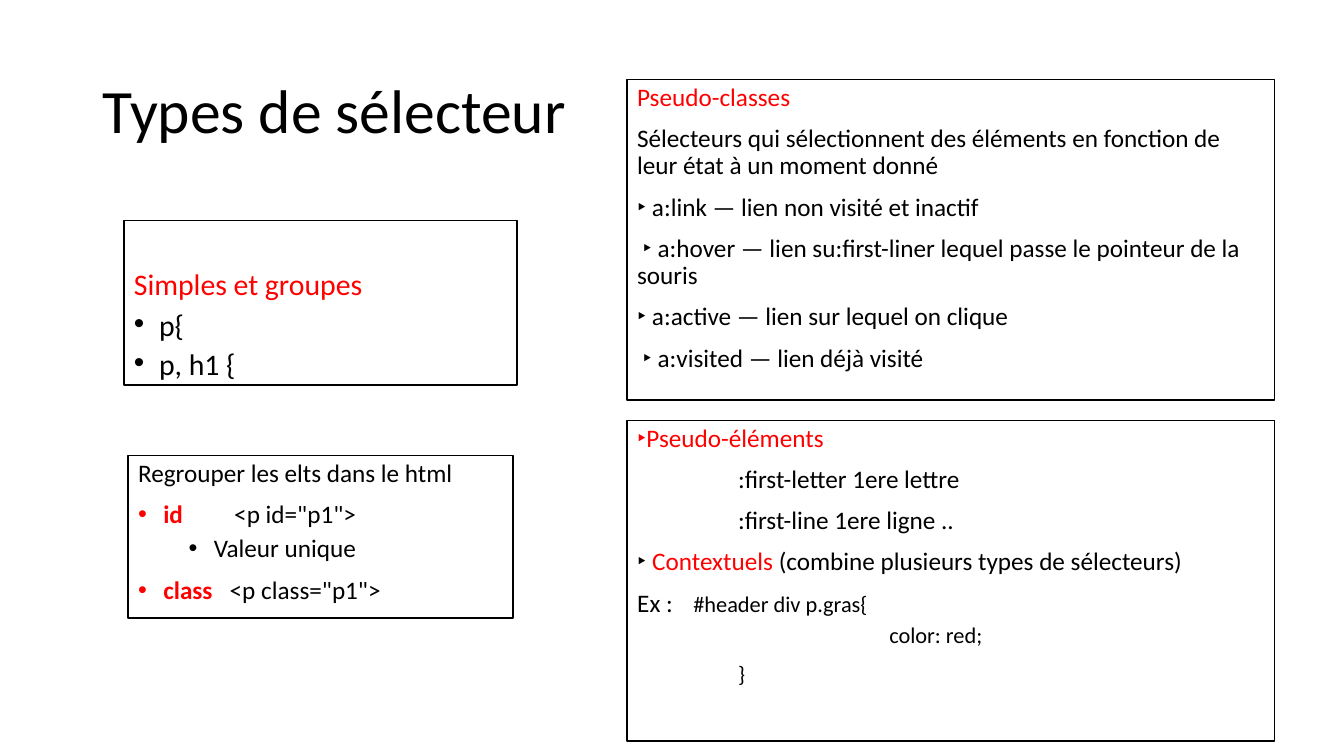
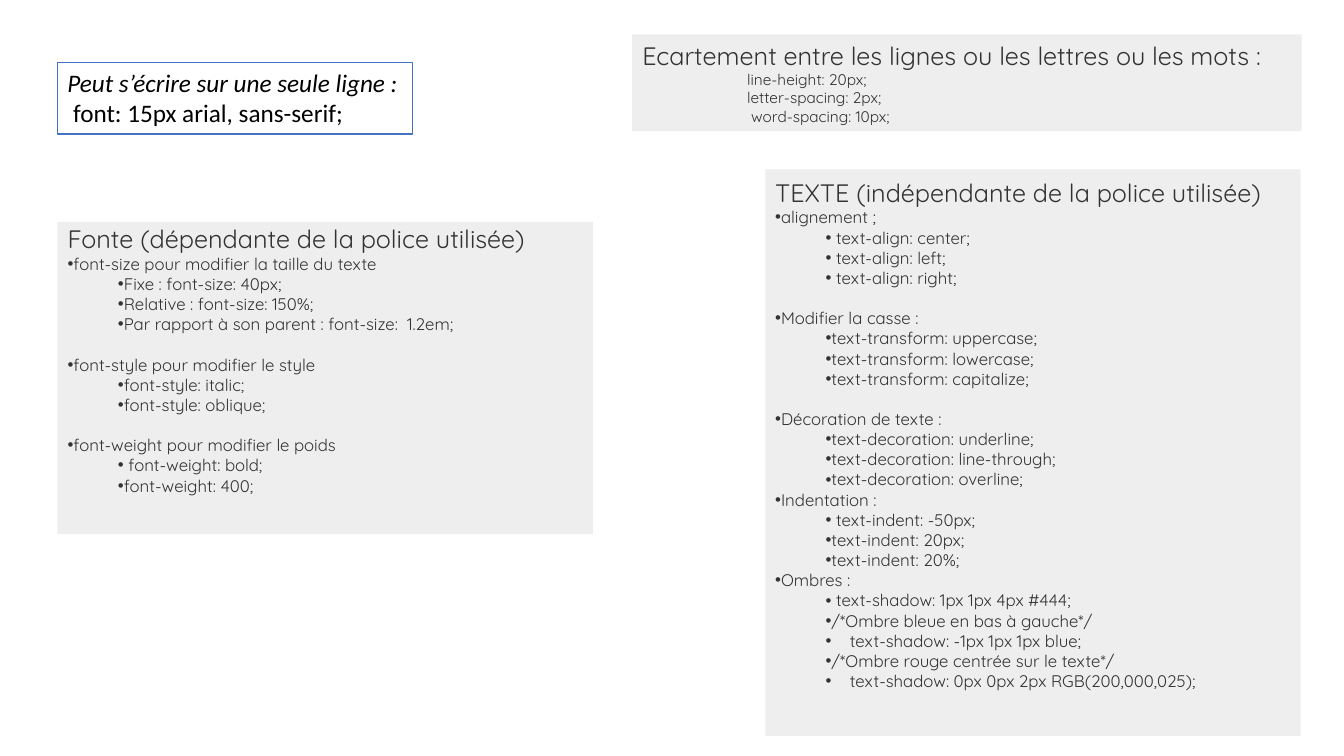
from lxml import etree
from pptx import Presentation
from pptx import util as u
from pptx.dml.color import RGBColor
from pptx.enum import shapes, text
from pptx.oxml.ns import qn

PX = 9144
COLORS = {"white": "FFFFFF", "black": "000000", "red": "FF0000",
          "panel": "EEEEEE", "ink": "333333", "blue": "4472C4"}


def style_box(shape, box, fill=None, line=None, anchor="TOP", top=5, bottom=5):
    shape.left, shape.top, shape.width, shape.height = [value * PX for value in box]
    shape.shadow.inherit = False
    if fill:
        shape.fill.solid()
        shape.fill.fore_color.rgb = RGBColor.from_string(COLORS[fill])
    if line:
        shape.line.color.rgb = RGBColor.from_string(COLORS[line])
        shape.line.width = u.Pt(1)
    else:
        shape.line.fill.background()
    frame = shape.text_frame
    frame.word_wrap = True
    frame.auto_size = text.MSO_AUTO_SIZE.NONE
    frame.vertical_anchor = getattr(text.MSO_ANCHOR, anchor)
    frame.margin_left = frame.margin_right = 10 * PX
    frame.margin_top, frame.margin_bottom = top * PX, bottom * PX


def write(shape, paragraphs, font="Calibri", size=18, color="black"):
    frame = shape.text_frame
    for number, (content, options) in enumerate(paragraphs):
        paragraph = frame.add_paragraph() if number else frame.paragraphs[0]
        pieces = [(content, {})] if isinstance(content, str) else content
        paragraph.text = pieces[0][0]
        for piece, _ in pieces[1:]:
            paragraph.add_run().text = piece
        for run, (_, extra) in zip(paragraph.runs, pieces):
            look = {**options, **extra}
            run.font.name = font
            run.font.size = u.Pt(look.get("size", size))
            run.font.bold = look.get("bold", False)
            run.font.italic = look.get("italic", False)
            run.font.color.rgb = RGBColor.from_string(COLORS[look.get("color", color)])
        paragraph.alignment = text.PP_ALIGN.LEFT
        paragraph.level = options.get("level", 0)
        paragraph.line_spacing = options.get("spacing", 1.0)
        paragraph.space_before = u.Pt(options.get("before", 0))
        properties = paragraph._p.get_or_add_pPr()
        properties.set("marL", str(options.get("margin", 0) * PX))
        properties.set("indent", str(options.get("indent", 0) * PX))
        if options.get("bullet"):
            etree.SubElement(properties, qn("a:buFont")).set("typeface", "Arial")
            etree.SubElement(properties, qn("a:buChar")).set("char", "•")
        else:
            etree.SubElement(properties, qn("a:buNone"))
        if "tab" in options:
            stops = etree.SubElement(properties, qn("a:tabLst"))
            stop = etree.SubElement(stops, qn("a:tab"))
            stop.set("pos", str(options["tab"] * PX))
            stop.set("algn", "l")


presentation = Presentation()
presentation.slide_width, presentation.slide_height = 1333 * PX, 750 * PX

PLAIN = {"spacing": 0.9, "before": 10}
RED = {**PLAIN, "color": "red"}
BULLET = {**PLAIN, "bullet": True, "margin": 25, "indent": -25}
TIGHT = {**BULLET, "spacing": 0.7}
TABBED = {**PLAIN, "margin": 100}
STRONG = {"color": "red", "bold": True}

slide = presentation.slides.add_slide(presentation.slide_layouts[3])
title, elements, grouping = slide.placeholders
style_box(title, (92, 40, 1150, 145), anchor="MIDDLE")
write(title, [("Types de sélecteur", {"spacing": 0.9})], size=44)

style_box(elements, (622, 417, 642, 318), "white", "black")
write(elements, [
    ("‣Pseudo-éléments", RED),
    (":first-letter 1ere lettre", TABBED),
    (":first-line 1ere ligne ..", TABBED),
    ([("‣ ", {}), ("Contextuels", {"color": "red"}),
      (" (combine plusieurs types de sélecteurs)", {})], PLAIN),
    ([("Ex :\t ", {}), ("#header div p.gras{", {"size": 16})], {**PLAIN, "tab": 100}),
    ("color: red;", {**PLAIN, "level": 1, "margin": 250, "before": 5, "size": 16}),
    ("}", {**TABBED, "size": 16}),
])

style_box(grouping, (127, 452, 382, 161), "white", "black")
write(grouping, [
    ("Regrouper les elts dans le html", PLAIN),
    ([("id", STRONG), ('         <p id="p1">', {})], BULLET),
    ("Valeur unique", {**BULLET, "level": 1, "margin": 75, "before": 5}),
    ([("class", STRONG), ('   <p class="p1">', {})], BULLET),
])

simple = slide.shapes.add_shape(shapes.MSO_SHAPE.RECTANGLE, 0, 0, PX, PX)
style_box(simple, (123, 219, 390, 163), "white", "black", top=49, bottom=0)
write(simple, [("Simples et groupes", RED), ("p{", TIGHT), ("p, h1 {", TIGHT)], size=21.3)

pseudo = slide.shapes.add_shape(shapes.MSO_SHAPE.RECTANGLE, 0, 0, PX, PX)
style_box(pseudo, (622, 79, 642, 318), "white", "black")
write(pseudo, [
    ("Pseudo-classes", RED),
    ("Sélecteurs qui sélectionnent des éléments en fonction de leur état à un moment donné", PLAIN),
    ("‣ a:link — lien non visité et inactif", PLAIN),
    (" ‣ a:hover — lien su:first-liner lequel passe le pointeur de la souris", PLAIN),
    ("‣ a:active — lien sur lequel on clique", PLAIN),
    (" ‣ a:visited — lien déjà visité", PLAIN),
])

TOPIC = {"size": 12, "bullet": True}
GAP = {**TOPIC, "before": 14.4}
ITEM = {**TOPIC, "level": 1, "margin": 50}
DEEP = {**ITEM, "margin": 74, "indent": -24}

slide = presentation.slides.add_slide(presentation.slide_layouts[1])
spacing, fonts = slide.placeholders
style_box(spacing, (627, 34, 664, 96), "panel", anchor="MIDDLE")
write(spacing, [
    ("Ecartement entre les lignes ou les lettres ou les mots :", {}),
    ("line-height: 20px;", {"size": 11, "margin": 104}),
    ("letter-spacing: 2px;", {"size": 11, "margin": 104}),
    ("word-spacing: 10px;", {"size": 11, "margin": 108}),
], "Quicksand", color="ink")

style_box(fonts, (57, 220, 531, 310), "panel", anchor="MIDDLE", bottom=42)
write(fonts, [
    ("Fonte (dépendante de la police utilisée)", {}),
    ("font-size pour modifier la taille du texte", TOPIC),
    ("Fixe : font-size: 40px;", ITEM),
    ("Relative : font-size: 150%;", ITEM),
    ("Par rapport à son parent : font-size:  1.2em;", ITEM),
    ("font-style pour modifier le style", GAP),
    ("font-style: italic;", ITEM),
    ("font-style: oblique;", ITEM),
    ("font-weight pour modifier le poids", GAP),
    (" font-weight: bold;", ITEM),
    ("font-weight: 400;", ITEM),
], "Quicksand", color="ink")

styling = slide.shapes.add_shape(shapes.MSO_SHAPE.RECTANGLE, 0, 0, PX, PX)
style_box(styling, (759, 168, 531, 562), "panel", anchor="MIDDLE", bottom=42)
write(styling, [
    ("TEXTE (indépendante de la police utilisée)", {}),
    ("alignement ;", TOPIC),
    (" text-align: center;", ITEM),
    (" text-align: left;", ITEM),
    (" text-align: right;", ITEM),
    ("Modifier la casse :", GAP),
    ("text-transform: uppercase;", ITEM),
    ("text-transform: lowercase;", ITEM),
    ("text-transform: capitalize;", ITEM),
    ("Décoration de texte :", GAP),
    ("text-decoration: underline;", ITEM),
    ("text-decoration: line-through;", ITEM),
    ("text-decoration: overline;", ITEM),
    ("Indentation :", TOPIC),
    (" text-indent: -50px;", ITEM),
    ("text-indent: 20px;", ITEM),
    ("text-indent: 20%;", ITEM),
    ("Ombres :", TOPIC),
    (" text-shadow: 1px 1px 4px #444;", ITEM),
    ("/*Ombre bleue en bas à gauche*/", ITEM),
    ("text-shadow: -1px 1px 1px blue;", DEEP),
    ("/*Ombre rouge centrée sur le texte*/", ITEM),
    ("text-shadow: 0px 0px 2px RGB(200,000,025);", DEEP),
], "Quicksand", color="ink")

shorthand = slide.shapes.add_shape(shapes.MSO_SHAPE.RECTANGLE, 0, 0, PX, PX)
style_box(shorthand, (57, 62, 352, 71), "white", "blue")
write(shorthand, [
    ("Peut s’écrire sur une seule ligne :", {"italic": True}),
    (" font: 15px arial, sans-serif;", {}),
])

presentation.save("out.pptx")
